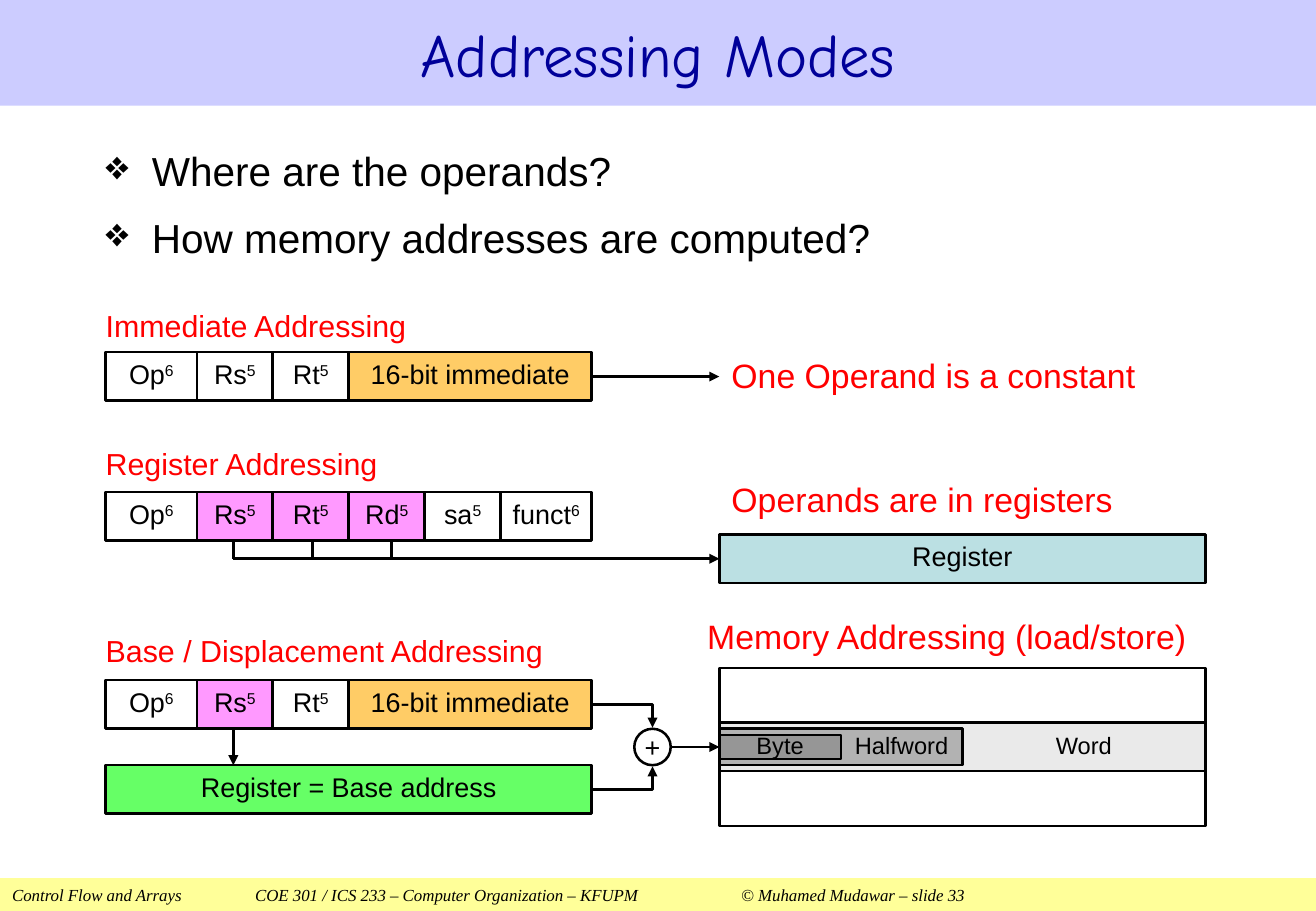
from dataclasses import dataclass

import pptx
import pptx.dml.color
import pptx.enum.shapes
import pptx.enum.text
import pptx.oxml.ns
import pptx.util
from lxml import etree

Inches = pptx.util.Inches
Pt = pptx.util.Pt
RGBColor = pptx.dml.color.RGBColor
Shape = pptx.enum.shapes.MSO_SHAPE
Connector = pptx.enum.shapes.MSO_CONNECTOR
Align = pptx.enum.text.PP_ALIGN
Anchor = pptx.enum.text.MSO_ANCHOR
qn = pptx.oxml.ns.qn

BLACK = RGBColor(0x00, 0x00, 0x00)
WHITE = RGBColor(0xFF, 0xFF, 0xFF)
RED = RGBColor(0xFF, 0x00, 0x00)
NAVY = RGBColor(0x00, 0x00, 0x99)
LAVENDER = RGBColor(0xCC, 0xCC, 0xFF)
YELLOW = RGBColor(0xFF, 0xFF, 0x99)
PINK = RGBColor(0xFF, 0x99, 0xFF)
ORANGE = RGBColor(0xFF, 0xCC, 0x66)
GREEN = RGBColor(0x66, 0xFF, 0x66)
TEAL = RGBColor(0xBB, 0xE0, 0xE3)
LIGHT_GRAY = RGBColor(0xEA, 0xEA, 0xEA)
MIDDLE_GRAY = RGBColor(0xB2, 0xB2, 0xB2)
DARK_GRAY = RGBColor(0x96, 0x96, 0x96)

SLIDE_WIDTH = 10.83
LEFT = 0.87
RIGHT = 5.92
BLOCK_WIDTH = 4
BIT_WIDTH = BLOCK_WIDTH / 32
ROW_HEIGHT = 0.4


@dataclass
class Box:
    left: float
    top: float
    width: float
    height: float
    text: str = ""
    fill: RGBColor | None = WHITE
    size: float = 16
    superscript: str = ""
    indent: float = 0
    kind: Shape = Shape.RECTANGLE
    outlined: bool = True
    color: RGBColor = BLACK
    font: str = "Arial"
    line_spacing: float = 0.85


@dataclass
class Field:
    name: str
    bits: int
    fill: RGBColor = WHITE


@dataclass
class Label:
    text: str
    left: float
    top: float
    width: float
    height: float
    size: float
    anchor: Anchor = Anchor.MIDDLE


@dataclass
class Wire:
    start: tuple[float, float]
    end: tuple[float, float]
    arrow: bool = True
    bent: bool = False


IMMEDIATE = Field("16-bit immediate", 16, ORANGE)
INSTRUCTIONS = {
    2.9: [Field("Op", 6), Field("Rs", 5), Field("Rt", 5), IMMEDIATE],
    4.05: [Field("Op", 6), Field("Rs", 5, PINK), Field("Rt", 5, PINK),
           Field("Rd", 5, PINK), Field("sa", 5), Field("funct", 6)],
    5.6: [Field("Op", 6), Field("Rs", 5, PINK), Field("Rt", 5), IMMEDIATE],
}
BOXES = [
    Box(0, 0, SLIDE_WIDTH, 0.87, "Addressing Modes", LAVENDER, 36,
        outlined=False, color=NAVY, font="Comic Neue", line_spacing=1),
    Box(RIGHT, 4.4, BLOCK_WIDTH, ROW_HEIGHT, "Register", TEAL),
    Box(LEFT, 6.3, BLOCK_WIDTH, ROW_HEIGHT, "Register = Base address", GREEN),
    Box(RIGHT, 5.95, BLOCK_WIDTH, ROW_HEIGHT, "Word", LIGHT_GRAY, 14, indent=2),
    Box(RIGHT, 5.5, BLOCK_WIDTH, 1.3, fill=None),
    Box(RIGHT, 6, 2, 0.3, "Halfword", MIDDLE_GRAY, 14, indent=1),
    Box(RIGHT, 6.05, 1, 0.2, "Byte", DARK_GRAY, 14),
    Box(5.22, 6, 0.3, 0.3, "+", kind=Shape.OVAL, line_spacing=1),
]
LABELS = [
    Label("Immediate Addressing", LEFT, 2.49, 4, 0.38, 18),
    Label("Register Addressing", LEFT, 3.62, 4, 0.39, 18),
    Label("Base / Displacement Addressing", LEFT, 5.14, 4, 0.43, 18),
    Label("One Operand is a constant", 6.02, 2.93, 3.8, 0.32, 20),
    Label("Operands are in registers", 6.02, 3.94, 3.8, 0.38, 20, Anchor.TOP),
    Label("Memory Addressing (load/store)", 5.82, 5.07, 4.35, 0.4, 20, Anchor.TOP),
]
WIRES = [
    Wire((4.87, 3.1), (RIGHT, 3.1)),
    Wire((1.92, 4.6), (RIGHT, 4.6)),
    *[Wire((1.92 + 0.65 * tap, 4.45), (1.92 + 0.65 * tap, 4.6), arrow=False)
      for tap in range(3)],
    Wire((1.92, 6), (1.92, 6.3)),
    Wire((4.87, 5.8), (5.37, 5.99), bent=True),
    Wire((4.87, 6.5), (5.37, 6.31), bent=True),
    Wire((5.52, 6.15), (RIGHT, 6.15)),
]


def set_insets(text_frame, left: float = 0, top: float = 0,
               right: float = 0, bottom: float = 0) -> None:
    text_frame.margin_left, text_frame.margin_top = Inches(left), Inches(top)
    text_frame.margin_right, text_frame.margin_bottom = Inches(right), Inches(bottom)


def format_runs(paragraph, size: float, color: RGBColor = BLACK,
                name: str = "Arial", italic: bool = False) -> None:
    for run in paragraph.runs:
        run.font.size = Pt(size)
        run.font.name = name
        run.font.color.rgb = color
        run.font.italic = italic


def draw_box(slide, box: Box) -> None:
    shape = slide.shapes.add_shape(box.kind, Inches(box.left), Inches(box.top),
                                   Inches(box.width), Inches(box.height))
    shape.shadow.inherit = False
    if box.fill is None:
        shape.fill.background()
    else:
        shape.fill.solid()
        shape.fill.fore_color.rgb = box.fill
    if box.outlined:
        shape.line.color.rgb = BLACK
        shape.line.width = Pt(1.5)
    else:
        shape.line.fill.background()
    text_frame = shape.text_frame
    set_insets(text_frame, left=box.indent)
    text_frame.vertical_anchor = Anchor.MIDDLE
    text_frame.text = box.text
    paragraph = text_frame.paragraphs[0]
    paragraph.alignment = Align.CENTER
    paragraph.line_spacing = box.line_spacing
    if box.superscript:
        run = paragraph.add_run()
        run.text = box.superscript
        run.font._element.set("baseline", "30000")
    format_runs(paragraph, box.size, box.color, box.font)


def draw_instruction(slide, top: float, fields: list[Field]) -> None:
    left = LEFT
    for field in fields:
        width = field.bits * BIT_WIDTH
        superscript = "" if field is IMMEDIATE else str(field.bits)
        draw_box(slide, Box(left, top, width, ROW_HEIGHT, field.name,
                            field.fill, superscript=superscript))
        left += width


def add_text(slide, label: Label):
    text_frame = slide.shapes.add_textbox(
        Inches(label.left), Inches(label.top),
        Inches(label.width), Inches(label.height)).text_frame
    text_frame.word_wrap = True
    text_frame.vertical_anchor = label.anchor
    set_insets(text_frame)
    text_frame.text = label.text
    for paragraph in text_frame.paragraphs:
        format_runs(paragraph, label.size, RED)
    return text_frame


def draw_wire(slide, wire: Wire) -> None:
    kind = Connector.ELBOW if wire.bent else Connector.STRAIGHT
    connector = slide.shapes.add_connector(
        kind, *[Inches(value) for value in (*wire.start, *wire.end)])
    connector.line.color.rgb = BLACK
    connector.line.width = Pt(1.5)
    properties = connector._element.spPr
    if wire.bent:
        properties.find(qn("a:prstGeom")).set("prst", "bentConnector2")
    if wire.arrow:
        etree.SubElement(properties.find(qn("a:ln")), qn("a:tailEnd"), type="triangle")
    etree.SubElement(properties, qn("a:effectLst"))


def draw_questions(slide) -> None:
    text = "Where are the operands?\nHow memory addresses are computed?"
    text_frame = add_text(slide, Label(text, LEFT, 1.2, 8.88, 1.05, 24, Anchor.TOP))
    for position, paragraph in enumerate(text_frame.paragraphs):
        properties = paragraph._p.get_or_add_pPr()
        properties.set("marL", str(Inches(0.38)))
        properties.set("indent", str(Inches(-0.38)))
        etree.SubElement(properties, qn("a:buChar"), char="❖")
        paragraph.space_before = Pt(11 * position)
        format_runs(paragraph, 24)


def draw_footer(slide) -> None:
    draw_box(slide, Box(0, 7.23, SLIDE_WIDTH, 0.27, fill=YELLOW, outlined=False))
    text = ("Control Flow and Arrays\tCOE 301 / ICS 233 – Computer Organization – KFUPM"
            "\t© Muhamed Mudawar – slide 33")
    text_frame = add_text(slide, Label(text, 0.1, 7.23, 10.63, 0.27, 10))
    paragraph = text_frame.paragraphs[0]
    tabs = etree.SubElement(paragraph._p.get_or_add_pPr(), qn("a:tabLst"))
    for position in (2, 6):
        etree.SubElement(tabs, qn("a:tab"), pos=str(Inches(position)), algn="l")
    format_runs(paragraph, 10, name="Times New Roman", italic=True)


def main() -> None:
    presentation = pptx.Presentation()
    presentation.slide_width = Inches(SLIDE_WIDTH)
    presentation.slide_height = Inches(7.5)
    slide = presentation.slides.add_slide(presentation.slide_layouts[6])
    draw_footer(slide)
    for box in BOXES:
        draw_box(slide, box)
    for top, fields in INSTRUCTIONS.items():
        draw_instruction(slide, top, fields)
    for label in LABELS:
        add_text(slide, label)
    for wire in WIRES:
        draw_wire(slide, wire)
    draw_questions(slide)
    presentation.save("out.pptx")


if __name__ == "__main__":
    main()
